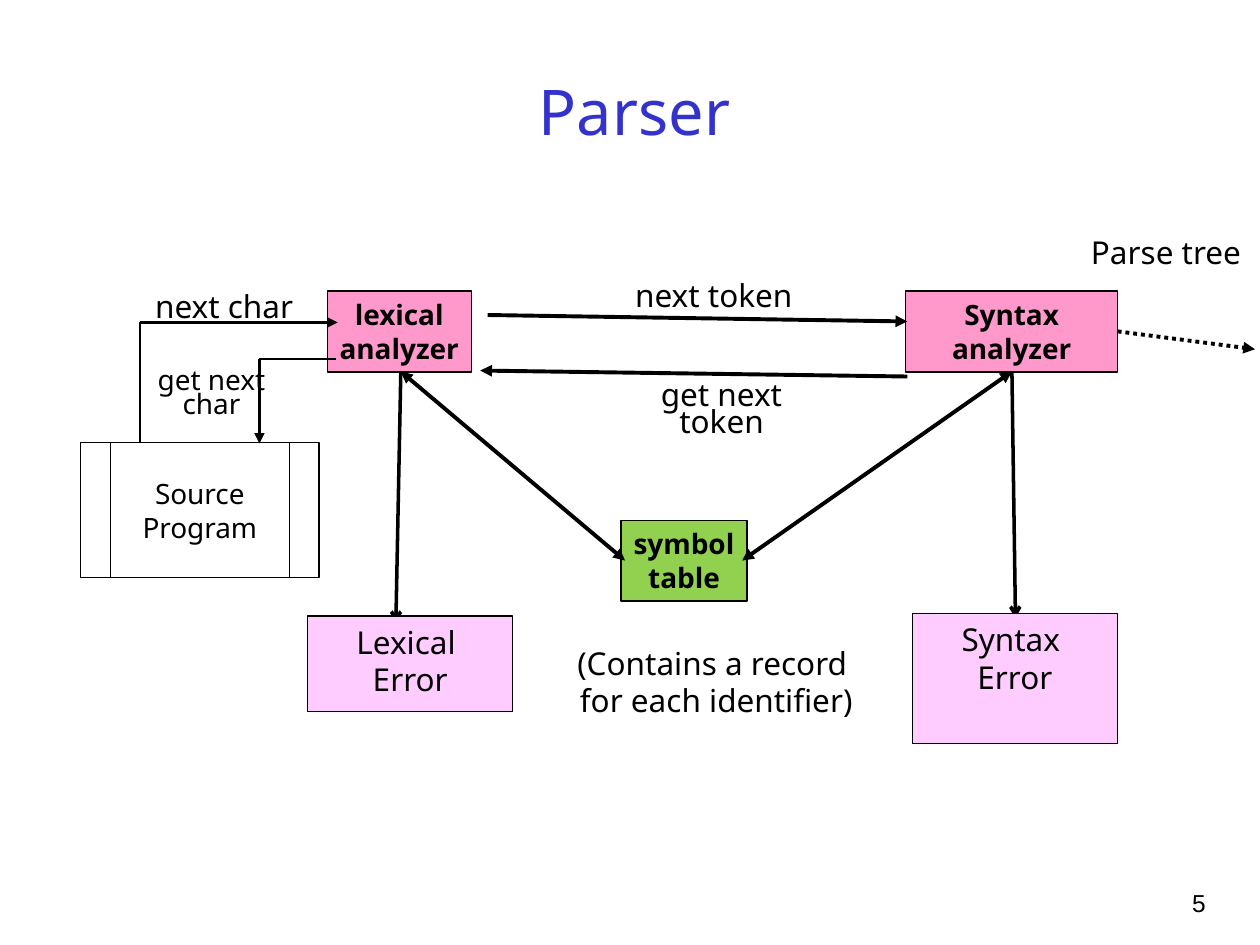
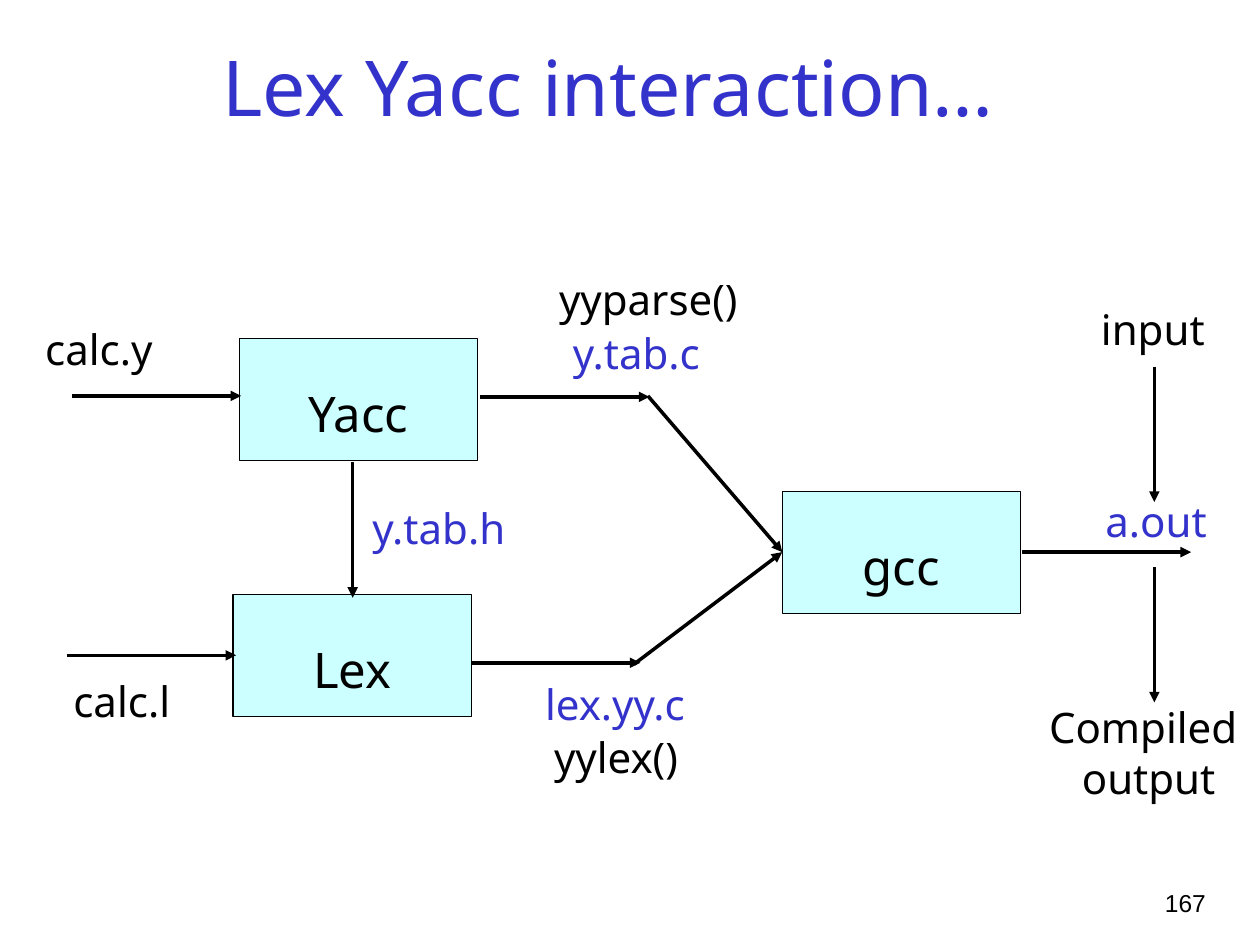
"""Build two diagram slides on parsing and the Lex and Yacc tool chain."""
from dataclasses import dataclass

from lxml import etree
from pptx import Presentation
from pptx.dml.color import RGBColor
from pptx.enum.dml import MSO_LINE
from pptx.enum.shapes import MSO_CONNECTOR, MSO_SHAPE
from pptx.enum.text import MSO_ANCHOR, MSO_AUTO_SIZE, PP_ALIGN
from pptx.oxml.ns import qn
from pptx.util import Cm, Pt

RECT = MSO_SHAPE.RECTANGLE
PROCESS = MSO_SHAPE.FLOWCHART_PREDEFINED_PROCESS
STRAIGHT = MSO_CONNECTOR.STRAIGHT
DOTTED = MSO_LINE.ROUND_DOT
LEFT, CENTER, RIGHT = PP_ALIGN.LEFT, PP_ALIGN.CENTER, PP_ALIGN.RIGHT
TOP, MIDDLE = MSO_ANCHOR.TOP, MSO_ANCHOR.MIDDLE
NO_FIT = MSO_AUTO_SIZE.NONE


@dataclass(frozen=True)
class Theme:
    """Hold the fonts, colours, type sizes and line widths."""

    font: str = "Noto Sans"
    digit: str = "Arial"
    ink: str = "000000"
    blue: str = "3333CC"
    white: str = "FFFFFF"
    pink: str = "FF99CC"
    green: str = "92D050"
    lilac: str = "FFCCFF"
    cyan: str = "CCFFFF"
    tiny: int = 14
    small: int = 16
    body: int = 18
    code: int = 24
    tool: int = 28
    edge: float = 0.74
    thin: float = 1.5
    mid: float = 2.01
    bold: float = 2.24


THEME = Theme()


def paint(hue):
    """Return the colour for a hex string."""
    return RGBColor.from_string(hue)


def write(frame, text, size, hue=THEME.ink, font=THEME.font,
          align=CENTER, bold=False, space=None):
    """Set the text of a frame and format each run."""
    frame.text = text
    frame.auto_size = NO_FIT
    frame.word_wrap = align != CENTER
    for para in frame.paragraphs:
        para.alignment = align
        para.line_spacing = space
        for run in para.runs:
            run.font.name = font
            run.font.size = Pt(size)
            run.font.bold = bold
            run.font.color.rgb = paint(hue)


def place(shape, area):
    """Move and size a shape to an area in centimetres."""
    shape.left, shape.top, shape.width, shape.height = map(Cm, area)


def start(deck, title, size, area, number):
    """Add a slide with its title and slide number."""
    slide = deck.slides.add_slide(deck.slide_layouts[5])
    head = slide.shapes.title
    place(head, area)
    write(head.text_frame, title, size, THEME.blue)
    head.text_frame.word_wrap = True
    head.text_frame.vertical_anchor = MIDDLE
    label(slide, number, (22.68, 17.78, 1.88, 1.27), THEME.tiny,
          font=THEME.digit, align=RIGHT)
    return slide


def label(slide, text, area, size, **style):
    """Add a plain text label."""
    frame = slide.shapes.add_textbox(*map(Cm, area)).text_frame
    write(frame, text, size, **style)


def box(slide, text, area, fill, size, kind=RECT, anchor=TOP, inset=0.13,
        bold=False):
    """Add a filled and outlined box with text."""
    shape = slide.shapes.add_shape(kind, *map(Cm, area))
    shape.shadow.inherit = False
    shape.fill.solid()
    shape.fill.fore_color.rgb = paint(fill)
    shape.line.color.rgb = paint(THEME.ink)
    shape.line.width = Pt(THEME.edge)
    frame = shape.text_frame
    write(frame, text, size, bold=bold)
    frame.vertical_anchor = anchor
    frame.margin_top = Cm(inset)


def arrow(slide, ends, width, tail="triangle", head=None, dash=None):
    """Add a straight line with optional heads at either end."""
    link = slide.shapes.add_connector(STRAIGHT, *map(Cm, ends))
    link.line.color.rgb = paint(THEME.ink)
    link.line.width = Pt(width)
    if dash:
        link.line.dash_style = dash
    props = link.element.spPr
    line = props.find(qn("a:ln"))
    for tag, tip in (("a:headEnd", head), ("a:tailEnd", tail)):
        if tip:
            etree.SubElement(line, qn(tag), type=tip)
    etree.SubElement(props, qn("a:effectLst"))


def parser(deck):
    """Draw the parser slide."""
    slide = start(deck, " Parser", 36, (1.12, 0.64, 23.01, 3.18), "5")
    for text, area, fill in (
        ("lexical\nanalyzer", (6.6, 5.87, 2.9, 1.63), THEME.pink),
        ("Syntax\nanalyzer", (18.26, 5.87, 4.27, 1.63), THEME.pink),
        ("symbol\ntable", (12.52, 10.49, 2.54, 1.63), THEME.green),
    ):
        box(slide, text, area, fill, THEME.small, bold=True)
    box(slide, "Source\nProgram", (1.63, 8.92, 4.8, 2.72), THEME.white,
        THEME.small, PROCESS, MIDDLE)

    arrow(slide, (22.53, 6.68, 25.3, 7.04), THEME.bold, dash=DOTTED)
    arrow(slide, (18.29, 7.59, 9.68, 7.47), THEME.bold)
    arrow(slide, (9.83, 6.35, 18.29, 6.48), THEME.bold)
    arrow(slide, (6.78, 7.24, 5.23, 7.24), THEME.thin, tail=None)
    arrow(slide, (5.23, 7.24, 5.23, 8.94), THEME.thin)
    arrow(slide, (2.82, 8.94, 2.82, 6.5), THEME.thin, tail=None)
    arrow(slide, (2.82, 6.5, 6.81, 6.5), THEME.thin)
    for base, side, foot in (
        (8.08, 12.6, (7.98, 12.55)),
        (20.4, 14.96, (20.47, 12.45)),
    ):
        arrow(slide, (base, 7.49, side, 11.3), THEME.bold, head="triangle")
        arrow(slide, (base, 7.49, *foot), THEME.mid, tail="arrow")

    for text, area, size in (
        ("get next\ntoken", (13.06, 7.65, 2.97, 1.32), THEME.body),
        ("get next\nchar", (2.92, 7.37, 2.69, 1.22), THEME.small),
        ("next char", (2.87, 5.87, 3.3, 0.79), THEME.body),
        ("next token", (12.55, 5.64, 3.68, 0.79), THEME.body),
        ("Parse tree", (21.74, 4.78, 3.53, 0.79), THEME.body),
    ):
        label(slide, text, area, size, space=0.7)
    label(slide, "(Contains a record \nfor each identifier)",
          (11.38, 12.85, 6.12, 1.78), THEME.body)
    for text, area in (
        ("Lexical \nError", (6.2, 12.42, 4.14, 1.93)),
        ("Syntax \nError", (18.39, 12.37, 4.14, 2.62)),
    ):
        box(slide, text, area, THEME.lilac, THEME.body)


def tools(deck):
    """Draw the Lex and Yacc slide."""
    slide = start(deck, "Lex Yacc interaction…", 44,
                  (1.47, 0.64, 21.59, 2.16), "167")
    for text, left, top in (
        ("Yacc", 4.83, 6.83), ("Lex", 4.7, 11.99), ("gcc", 15.77, 9.91),
    ):
        box(slide, text, (left, top, 4.8, 2.46), THEME.cyan, THEME.tool,
            inset=0.9)

    for left, top in (
        (1.35, 13.21), (1.45, 7.98), (9.68, 8), (9.5, 13.36), (20.6, 11.13),
    ):
        arrow(slide, (left, top, left + 3.41, top), THEME.mid)
    for left, top in ((7.11, 9.32), (23.27, 7.39), (23.27, 11.43)):
        arrow(slide, (left, top, left, top + 2.73), THEME.mid)
    for left, top in ((13.06, 7.98), (12.78, 13.39)):
        arrow(slide, (left, top, 15.77, 11.13), THEME.mid)

    for text, left, top, width, hue, align in (
        ("calc.y", 0.66, 6.4, 3.3, THEME.ink, LEFT),
        ("calc.l", 1.02, 13.49, 2.87, THEME.ink, CENTER),
        ("yyparse()", 11.02, 5.38, 4.32, THEME.ink, LEFT),
        ("y.tab.c", 11.3, 6.48, 3.3, THEME.blue, LEFT),
        ("y.tab.h", 7.26, 10.01, 4.29, THEME.blue, LEFT),
        ("lex.yy.c", 10.74, 13.56, 4.11, THEME.blue, LEFT),
        ("yylex()", 10.92, 14.63, 4.32, THEME.ink, LEFT),
        ("input", 21.08, 5.99, 4.32, THEME.ink, CENTER),
        ("a.out", 21.21, 9.86, 4.19, THEME.blue, CENTER),
        ("Compiled \noutput", 19.89, 14.02, 6.53, THEME.ink, CENTER),
    ):
        tall = 2.29 if "\n" in text else 1.27
        label(slide, text, (left, top, width, tall), THEME.code,
              hue=hue, align=align)


def main():
    """Build and save the deck."""
    deck = Presentation()
    deck.slide_width, deck.slide_height = Cm(25.4), Cm(19.05)
    parser(deck)
    tools(deck)
    deck.save("out.pptx")


main()
